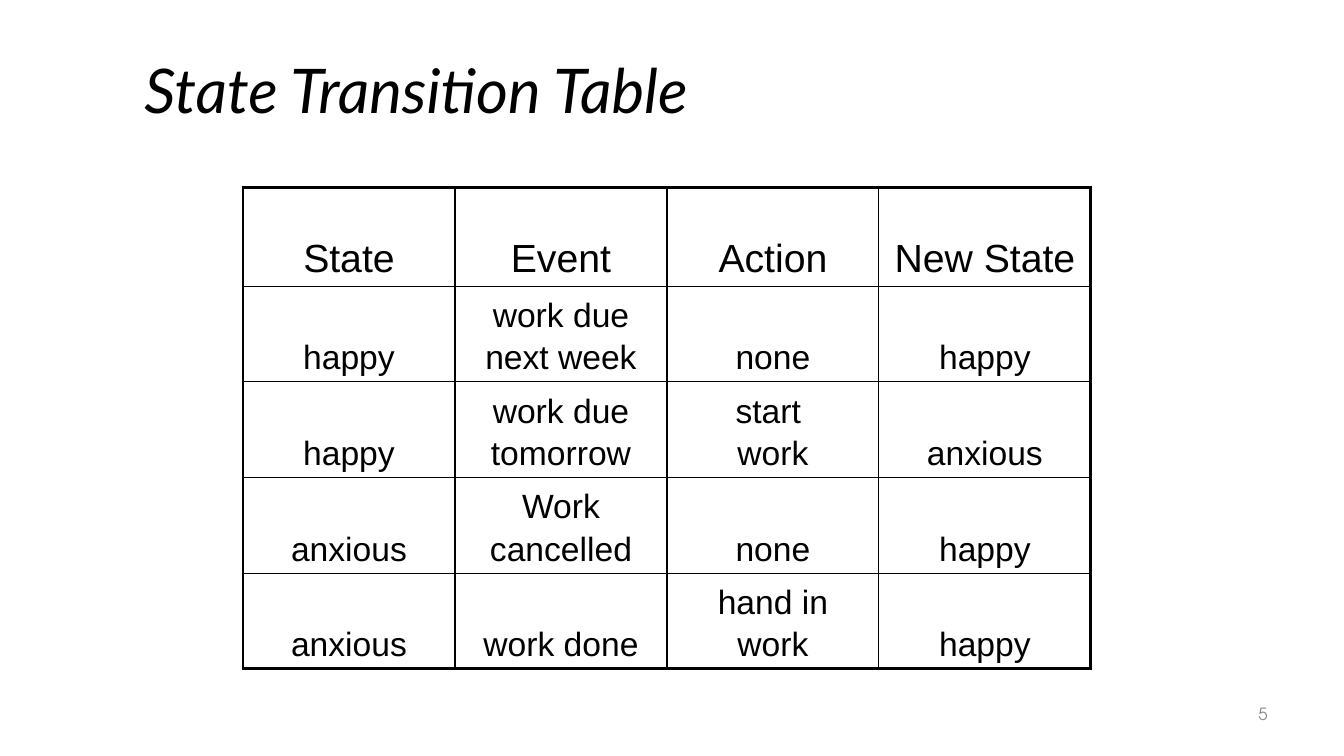
from dataclasses import dataclass

from lxml import etree
from pptx import Presentation
from pptx import util as u
from pptx.dml.color import RGBColor
from pptx.enum import text as t
from pptx.oxml.ns import qn


@dataclass(frozen=True)
class Theme:
    ink: str = "000000"
    muted: str = "8C8C8C"
    head: str = "Lato"
    body: str = "Arial"
    foot: str = "TeX Gyre Adventor"
    title: int = 44
    label: int = 28
    cell: int = 24
    page: int = 12
    gap: float = 3.5
    thin: float = 1
    thick: float = 2.25


THEME = Theme()
WIDE, HIGH = 13.33, 7.5
ROWS = [
    ["State", "Event", "Action", "New State"],
    ["happy", "work due\nnext week", "none", "happy"],
    ["happy", "work due\ntomorrow", "start \nwork", "anxious"],
    ["anxious", "Work\ncancelled", "none", "happy"],
    ["anxious", "work done", "hand in\nwork", "happy"],
]


def write(frame, words, font, size, color=THEME.ink, align=t.PP_ALIGN.LEFT,
          italic=False, lead=None):
    frame.word_wrap = True
    for i, line in enumerate(words.split("\n")):
        para = frame.add_paragraph() if i else frame.paragraphs[0]
        para.alignment = align
        para.line_spacing = lead
        if i:
            para.space_before = u.Pt(THEME.gap)
        run = para.add_run()
        run.text = line
        run.font.name, run.font.size = font, u.Pt(size)
        run.font.italic = italic
        run.font.color.rgb = RGBColor.from_string(color)


def label(slide, box, words, *style, **more):
    frame = slide.shapes.add_textbox(*map(u.Inches, box)).text_frame
    frame.vertical_anchor = t.MSO_ANCHOR.MIDDLE
    write(frame, words, *style, **more)


def edge(cell, widths):
    """Draw the left, right, top and bottom borders, ahead of the cell fill."""
    props = cell._tc.get_or_add_tcPr()
    for i, (side, width) in enumerate(zip("LRTB", widths)):
        line = etree.Element(qn(f"a:ln{side}"), w=str(u.Pt(width)))
        fill = etree.SubElement(line, qn("a:solidFill"))
        etree.SubElement(fill, qn("a:srgbClr"), val=THEME.ink)
        props.insert(i, line)


def grid(slide, box, rows, top):
    """Place equal columns and equal rows below a header of height top."""
    left, y, wide, high = box
    down, across = len(rows), len(rows[0])
    table = slide.shapes.add_table(down, across, *map(u.Inches, box)).table
    table.first_row = table.horz_banding = False
    for col in table.columns:
        col.width = u.Inches(wide / across)
    for r, row in enumerate(rows):
        table.rows[r].height = u.Inches(
            (high - top) / (down - 1) if r else top)
        for c, words in enumerate(row):
            cell = table.cell(r, c)
            cell.fill.background()
            cell.vertical_anchor = t.MSO_ANCHOR.BOTTOM
            write(cell.text_frame, words, THEME.body,
                  THEME.cell if r else THEME.label, align=t.PP_ALIGN.CENTER)
            outer = c == 0, c == across - 1, r == 0, r == down - 1
            edge(cell, [THEME.thick if o else THEME.thin for o in outer])


def main():
    deck = Presentation()
    deck.slide_width, deck.slide_height = u.Inches(WIDE), u.Inches(HIGH)
    slide = deck.slides.add_slide(deck.slide_layouts[6])
    label(slide, (WIDE * 0.1, HIGH * 0.04, WIDE * 0.85, HIGH / 6),
          "State Transition Table", THEME.head, THEME.title,
          italic=True, lead=0.9)
    grid(slide, (2.41, 1.86, 8.41, 4.63), ROWS, 0.98)
    label(slide, (9.89, 6.83, 2.78, 0.5), "5", THEME.foot, THEME.page,
          color=THEME.muted, align=t.PP_ALIGN.RIGHT)
    deck.save("out.pptx")


if __name__ == "__main__":
    main()
